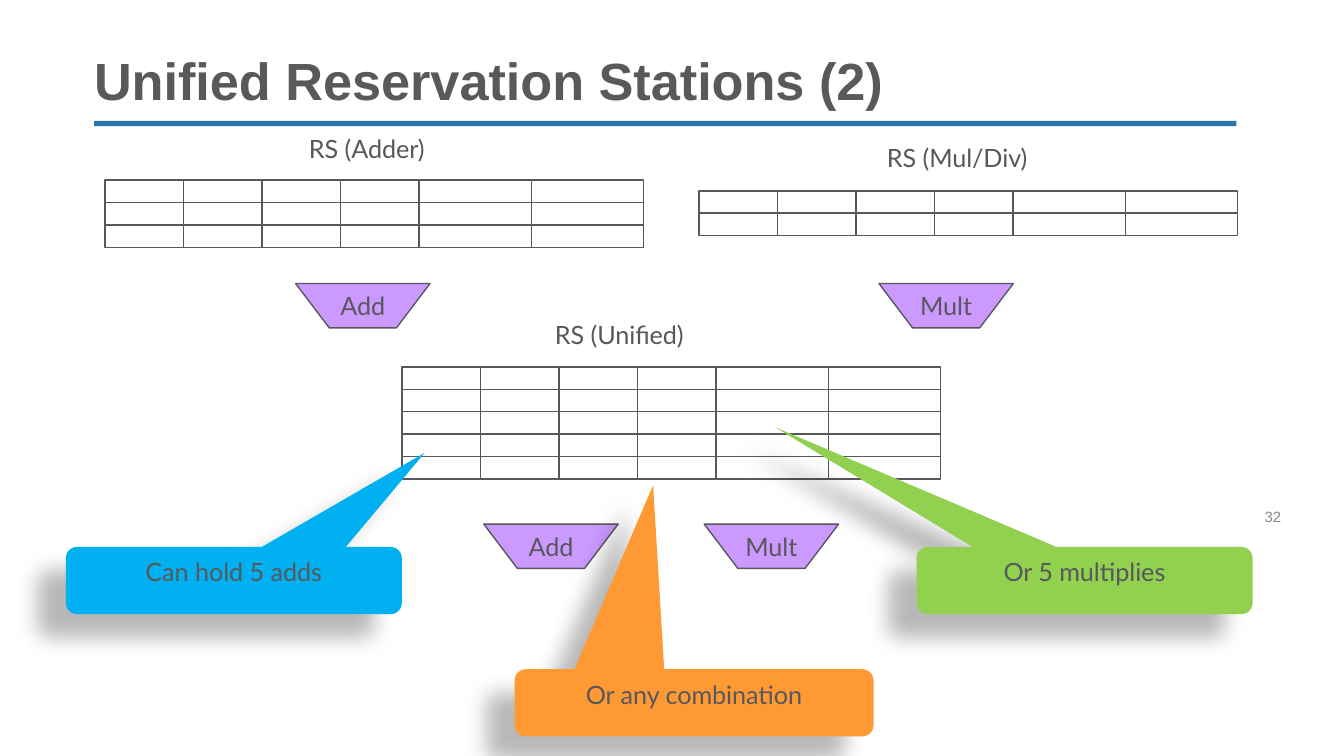
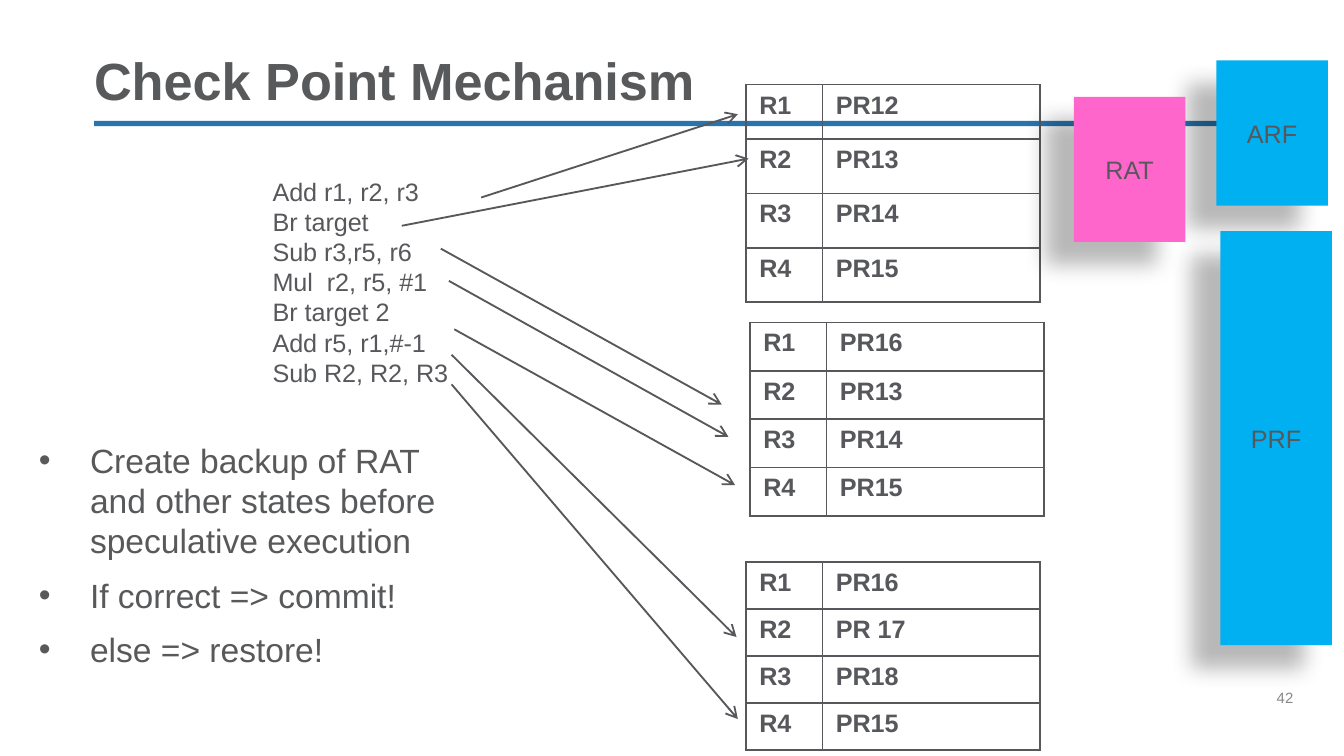
from lxml.etree import SubElement
from pptx import Presentation
from pptx.dml.color import RGBColor
from pptx.enum.shapes import MSO_CONNECTOR, MSO_SHAPE
from pptx.enum.text import MSO_ANCHOR as Anchor, PP_ALIGN as Align
from pptx.oxml.ns import qn
from pptx.util import Emu, Inches, Pt

# Shared look
WIDTH, HEIGHT = 10, 10 * 9 / 16
TITLE_GRAY = RGBColor(0x58, 0x59, 0x5B)
INK = RGBColor(0x57, 0x58, 0x5B)
NUMBER_GRAY = RGBColor(0x89, 0x89, 0x89)
RULE_BLUE = RGBColor(0x27, 0x74, 0xAE)
WHITE = RGBColor(0xFF, 0xFF, 0xFF)
PURPLE = RGBColor(0xCC, 0x99, 0xFF)
SKY = RGBColor(0x00, 0xB0, 0xF0)
GREEN = RGBColor(0x92, 0xD0, 0x50)
ORANGE = RGBColor(0xFF, 0x99, 0x33)
PINK = RGBColor(0xFF, 0x66, 0xCC)
BODY_SIZE = 13.5
DEFAULT_INSETS = (0.1, 0.05, 0.1, 0.05)

# Slide 1: reservation stations
STATION_WIDTH = 4.01
COLUMN_SHARES = (7, 7, 7, 7, 10, 10)
ROW_HEIGHT = 1 / 6
STATIONS = [  # left, top, rows, label, label box
    (0.78, 1.34, 3, "RS (Adder)", (2.2, 0.94, 1.25, 0.4)),
    (5.2, 1.42, 2, "RS (Mul/Div)", (6.5, 1.01, 1.41, 0.4)),
    (2.99, 2.73, 5, "RS (Unified)", (4.03, 2.33, 1.38, 0.4)),
]
UNITS = [("Add", 2.2, 2.11), ("Mult", 6.54, 2.11),
         ("Add", 3.6, 3.9), ("Mult", 5.24, 3.9)]
CALLOUTS = [  # text, box, tip, colour
    ("Can hold 5 adds", (0.49, 4.07, 2.5, 0.5), (3.16, 3.37), SKY),
    ("Or 5 multiplies", (6.82, 4.07, 2.5, 0.5), (5.77, 3.18), GREEN),
    ("Or any combination", (3.83, 4.98, 2.67, 0.5), (4.86, 3.61), ORANGE),
]

# Slide 2: checkpoints
CODE = ["Add r1, r2, r3", "Br target", "Sub r3,r5, r6", "Mul  r2, r5, #1",
        "Br target 2", "Add r5, r1,#-1", "Sub R2, R2, R3"]
POINTS = [
    "Create backup of RAT and other states before speculative execution",
    "If correct => commit!",
    "else => restore!",
]
MAP_COLUMNS = (0.57, 1.62)
REGISTER_MAPS = [  # left, top, height, registers mapped to R1, R2, ...
    (5.55, 0.63, 1.62, ["PR12", "PR13", "PR14", "PR15"]),
    (5.58, 2.4, 1.44, ["PR16", "PR13", "PR14", "PR15"]),
    (5.55, 4.18, 1.4, ["PR16", "PR 17", "PR18", "PR15"]),
]
ARROWS = [
    ((3.58, 1.47), (5.49, 0.85)),
    ((2.99, 1.68), (5.57, 1.18)),
    ((3.28, 1.85), (5.37, 3.01)),
    ((3.34, 2.09), (5.42, 3.25)),
    ((3.38, 2.45), (5.47, 3.61)),
    ((3.36, 2.64), (5.48, 4.74)),
    ((3.36, 2.86), (5.49, 5.35)),
]
REGISTER_FILES = [
    ("ARF", (9.05, 0.45, 0.83, 1.08), SKY),
    ("PRF", (9.08, 1.72, 0.83, 3.08), SKY),
    ("RAT", (7.99, 0.72, 0.83, 1.08), PINK),
]


def inches(values):
    return [Inches(value) for value in values]


def write(frame, lines, size=BODY_SIZE, font="Arial", color=INK, bold=False,
          align=Align.LEFT, anchor=Anchor.TOP, insets=DEFAULT_INSETS,
          wrap=True, spacing=None, gap=0, bullet=False):
    """Fill a text frame with one paragraph per line."""
    frame.word_wrap = wrap
    frame.vertical_anchor = anchor
    (frame.margin_left, frame.margin_top,
     frame.margin_right, frame.margin_bottom) = inches(insets)
    for index, line in enumerate(lines):
        para = frame.add_paragraph() if index else frame.paragraphs[0]
        if bullet:
            properties = para._p.get_or_add_pPr()
            properties.set("marL", str(Inches(0.38)))
            properties.set("indent", str(-Inches(0.38)))
            SubElement(properties, qn("a:buFont"), typeface="Arial")
            SubElement(properties, qn("a:buChar"), char="•")
        para.alignment = align
        if spacing:
            para.line_spacing = spacing
        if gap and index:
            para.space_before = Pt(gap)
        span = para.add_run()
        span.text = line
        span.font.size = Pt(size)
        span.font.name = font
        span.font.bold = bold
        span.font.color.rgb = color


def add_text(page, box, lines, **style):
    write(page.shapes.add_textbox(*inches(box)).text_frame, lines, **style)


def paint(shape, fill, outlined=False):
    shape.shadow.inherit = False
    shape.fill.solid()
    shape.fill.fore_color.rgb = fill
    if outlined:
        shape.line.color.rgb = INK
        shape.line.width = Pt(0.75)
    else:
        shape.line.fill.background()


def add_block(page, box, fill, kind=MSO_SHAPE.RECTANGLE, outlined=False):
    shape = page.shapes.add_shape(kind, *inches(box))
    paint(shape, fill, outlined)
    return shape


def cast_shadow(shape):
    effects = shape._element.spPr.find(qn("a:effectLst"))
    shadow = SubElement(effects, qn("a:outerShdw"), blurRad=str(Pt(11.8)),
                        dist=str(Pt(19.7)), dir=str(141 * 60000),
                        algn="ctr", rotWithShape="0")
    black = SubElement(shadow, qn("a:srgbClr"), val="000000")
    SubElement(black, qn("a:alpha"), val="28000")


def add_page(deck, title, number, number_at):
    """Start a slide with its rule, number and title."""
    page = deck.slides.add_slide(deck.slide_layouts[6])
    add_block(page, (0.7, 0.9, 8.5, 0.04), RULE_BLUE)
    add_text(page, (*number_at, 0.5, 0.4), [number], size=8,
             color=NUMBER_GRAY, insets=(0, 0, 0, 0.28))
    add_text(page, (0.7, 0.4, 8.5, 0.43), [title], size=28, bold=True,
             color=TITLE_GRAY, anchor=Anchor.BOTTOM, insets=(0,) * 4,
             spacing=0.9)
    return page


def add_station(page, left, top, rows, label, label_box):
    unit = STATION_WIDTH / sum(COLUMN_SHARES)
    for row in range(rows):
        for column, share in enumerate(COLUMN_SHARES):
            x = left + unit * sum(COLUMN_SHARES[:column])
            add_block(page, (x, top + row * ROW_HEIGHT, share * unit,
                             ROW_HEIGHT), WHITE, outlined=True)
    add_text(page, label_box, [label], font="Lato")


def add_unit(page, name, left, top, width=1, height=0.33):
    slant = width / 4
    corners = [(left, top), (left + slant, top + height),
               (left + width - slant, top + height), (left + width, top)]
    points = [inches(corner) for corner in corners]
    builder = page.shapes.build_freeform(*points[0])
    builder.add_line_segments(points[1:], close=True)
    shape = builder.convert_to_shape()
    paint(shape, PURPLE, outlined=True)
    write(shape.text_frame, [name], font="Lato", align=Align.CENTER,
          anchor=Anchor.MIDDLE, wrap=False)


def add_callout(page, text, box, tip, fill):
    left, top, width, height = box
    shape = add_block(page, box, fill, MSO_SHAPE.ROUNDED_RECTANGULAR_CALLOUT)
    shape.adjustments[0] = (tip[0] - left) / width - 0.5
    shape.adjustments[1] = (tip[1] - top) / height - 0.5
    shape.adjustments[2] = 1 / 6
    cast_shadow(shape)
    write(shape.text_frame, [text], font="Lato", align=Align.CENTER)


def outline_cell(cell):
    properties = cell._tc.get_or_add_tcPr()
    for side in ("lnL", "lnR", "lnT", "lnB"):
        border = SubElement(properties, qn("a:" + side), w=str(Pt(1)))
        solid = SubElement(border, qn("a:solidFill"))
        SubElement(solid, qn("a:srgbClr"), val=str(INK))
    cell.fill.background()


def add_register_map(page, left, top, height, targets):
    box = (left, top, sum(MAP_COLUMNS), height)
    table = page.shapes.add_table(len(targets), 2, *inches(box)).table
    table.first_row = table.horz_banding = False
    for column, width in zip(table.columns, MAP_COLUMNS):
        column.width = Inches(width)
    for index, target in enumerate(targets):
        table.rows[index].height = Emu(Inches(height) // len(targets))
        for column, text in enumerate((f"R{index + 1}", target)):
            cell = table.cell(index, column)
            outline_cell(cell)
            write(cell.text_frame, [text], bold=True)


def add_arrow(page, start, end):
    arrow = page.shapes.add_connector(MSO_CONNECTOR.STRAIGHT,
                                      *inches(start + end))
    arrow.line.color.rgb = INK
    arrow.line.width = Pt(1)
    SubElement(arrow.line._get_or_add_ln(), qn("a:tailEnd"), type="arrow")
    SubElement(arrow._element.spPr, qn("a:effectLst"))


def build_stations(deck):
    page = add_page(deck, "Unified Reservation Stations (2)", "32",
                    (9.41, 3.85))
    for station in STATIONS:
        add_station(page, *station)
    for unit in UNITS:
        add_unit(page, *unit)
    for callout in CALLOUTS:
        add_callout(page, *callout)


def build_checkpoints(deck):
    page = add_page(deck, "Check Point Mechanism", "42", (9.5, 5.2))
    add_text(page, (1.93, 1.26, 1.97, 2.52), CODE)
    for register_map in REGISTER_MAPS:
        add_register_map(page, *register_map)
    for start, end in ARROWS:
        add_arrow(page, start, end)
    for name, box, fill in REGISTER_FILES:
        block = add_block(page, box, fill)
        cast_shadow(block)
        write(block.text_frame, [name], align=Align.CENTER,
              anchor=Anchor.MIDDLE, wrap=False)
    add_text(page, (0.29, 3.27, 3.03, 1.74), POINTS, size=18,
             color=TITLE_GRAY, insets=(0,) * 4, gap=7.5, bullet=True)


def main():
    deck = Presentation()
    deck.slide_width, deck.slide_height = inches((WIDTH, HEIGHT))
    build_stations(deck)
    build_checkpoints(deck)
    deck.save("out.pptx")


if __name__ == "__main__":
    main()
